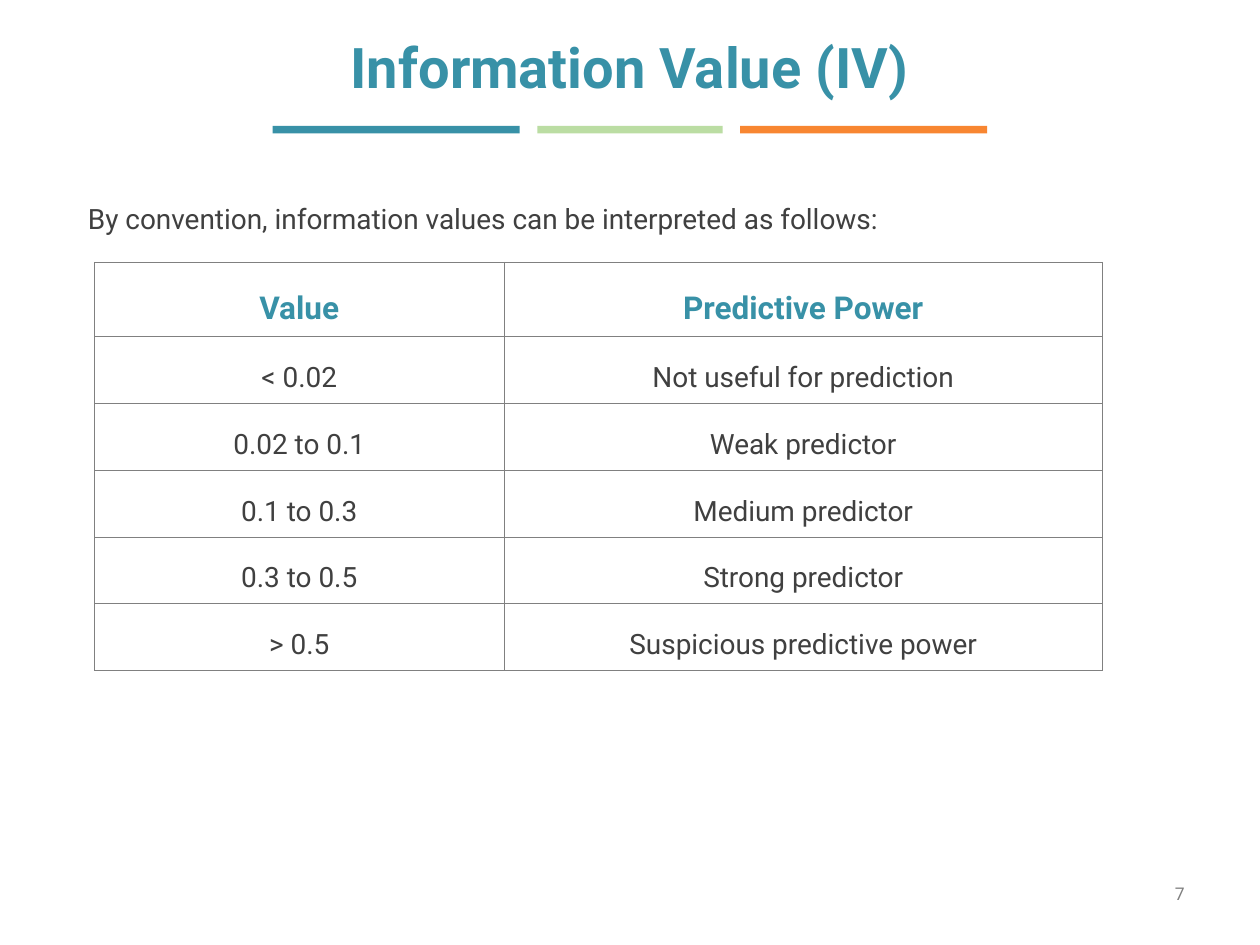
from dataclasses import dataclass

from lxml import etree
from pptx import Presentation
from pptx.dml.color import RGBColor
from pptx.enum.shapes import MSO_SHAPE
from pptx.enum.text import MSO_ANCHOR, PP_ALIGN
from pptx.oxml.ns import qn
from pptx.util import Inches, Pt

LEFT, CENTER, RIGHT = PP_ALIGN.LEFT, PP_ALIGN.CENTER, PP_ALIGN.RIGHT
TOP, MIDDLE = MSO_ANCHOR.TOP, MSO_ANCHOR.MIDDLE
RECTANGLE = MSO_SHAPE.RECTANGLE

SLIDE_W, SLIDE_H = 10, 7.5
FONT = "Roboto"
TEAL, GREEN, ORANGE = "3891A7", "BBDDA3", "F88631"
DARK, GRAY = "404040", "808080"

BAR_TOP, BAR_H, BAR_UNIT, BAR_GAP = 1, 0.06, 0.49, 0.14
BARS = [(4, TEAL), (3, GREEN), (4, ORANGE)]

TABLE_LEFT, TABLE_TOP = 0.75, 2.08
COLUMN_WIDTHS = [3.25, 4.75]
HEADER_H, ROW_H = 0.59, 0.53
BORDER_PT = 0.25
INTERPRETATIONS = [
    ("Value", "Predictive Power"),
    ("< 0.02", "Not useful for prediction"),
    ("0.02 to 0.1", "Weak predictor"),
    ("0.1 to 0.3", "Medium predictor"),
    ("0.3 to 0.5", "Strong predictor"),
    ("> 0.5", "Suspicious predictive power"),
]


@dataclass(frozen=True)
class TextStyle:
    size: float
    color: str
    bold: bool = False
    align: PP_ALIGN = LEFT
    spacing: float = 1.0


TITLE = TextStyle(32, TEAL, bold=True, align=CENTER)
INTRO = TextStyle(16, DARK, spacing=1.5)
HEADER = TextStyle(18, TEAL, bold=True, align=CENTER, spacing=1.5)
BODY = TextStyle(16, DARK, align=CENTER, spacing=1.5)
PAGE_NUMBER = TextStyle(10, GRAY, align=RIGHT)


def rgb(color: str) -> RGBColor:
    return RGBColor.from_string(color)


def write(frame, text: str, style: TextStyle) -> None:
    paragraph = frame.paragraphs[0]
    paragraph.alignment = style.align
    paragraph.line_spacing = style.spacing
    run = paragraph.add_run()
    run.text = text
    run.font.name = FONT
    run.font.size = Pt(style.size)
    run.font.bold = style.bold
    run.font.color.rgb = rgb(style.color)


def add_text(slide, box: tuple, text: str, style: TextStyle, anchor=MIDDLE) -> None:
    frame = slide.shapes.add_textbox(*map(Inches, box)).text_frame
    frame.word_wrap = True
    frame.vertical_anchor = anchor
    write(frame, text, style)


def add_bars(slide) -> None:
    """Draw the centred row of coloured bars below the title."""
    total = sum(units for units, _ in BARS) * BAR_UNIT + BAR_GAP * (len(BARS) - 1)
    left = (SLIDE_W - total) / 2
    for units, color in BARS:
        width = units * BAR_UNIT
        bar = slide.shapes.add_shape(
            RECTANGLE, *map(Inches, (left, BAR_TOP, width, BAR_H)))
        bar.shadow.inherit = False
        bar.fill.solid()
        bar.fill.fore_color.rgb = rgb(color)
        bar.line.fill.background()
        left += width + BAR_GAP


def add_borders(cell) -> None:
    """Put a thin line on all four sides; lines must precede the cell's fill."""
    properties = cell._tc.get_or_add_tcPr()
    for position, side in enumerate(("a:lnL", "a:lnR", "a:lnT", "a:lnB")):
        line = etree.Element(qn(side), w=str(Pt(BORDER_PT)))
        fill = etree.SubElement(line, qn("a:solidFill"))
        etree.SubElement(fill, qn("a:srgbClr"), val=GRAY)
        properties.insert(position, line)


def add_interpretation_table(slide) -> None:
    row_heights = [HEADER_H] + [ROW_H] * (len(INTERPRETATIONS) - 1)
    box = (TABLE_LEFT, TABLE_TOP, sum(COLUMN_WIDTHS), sum(row_heights))
    table = slide.shapes.add_table(
        len(row_heights), len(COLUMN_WIDTHS), *map(Inches, box)).table
    table.horz_banding = False
    for column, width in zip(table.columns, COLUMN_WIDTHS):
        column.width = Inches(width)
    for r, (height, texts) in enumerate(zip(row_heights, INTERPRETATIONS)):
        table.rows[r].height = Inches(height)
        for c, text in enumerate(texts):
            cell = table.cell(r, c)
            cell.fill.background()
            cell.vertical_anchor = MIDDLE
            add_borders(cell)
            write(cell.text_frame, text, BODY if r else HEADER)


def main() -> None:
    presentation = Presentation()
    presentation.slide_width = Inches(SLIDE_W)
    presentation.slide_height = Inches(SLIDE_H)
    slide = presentation.slides.add_slide(presentation.slide_layouts[6])

    add_text(slide, (0.5, 0.08, 9, 0.89), "Information Value (IV)", TITLE)
    add_bars(slide)
    add_text(slide, (7.17, 6.83, 2.33, 0.52), "7", PAGE_NUMBER)
    add_text(slide, (0.6, 1.42, 8.8, 0.45),
             "By convention, information values can be interpreted as follows:",
             INTRO, TOP)
    add_interpretation_table(slide)

    presentation.save("out.pptx")


if __name__ == "__main__":
    main()
